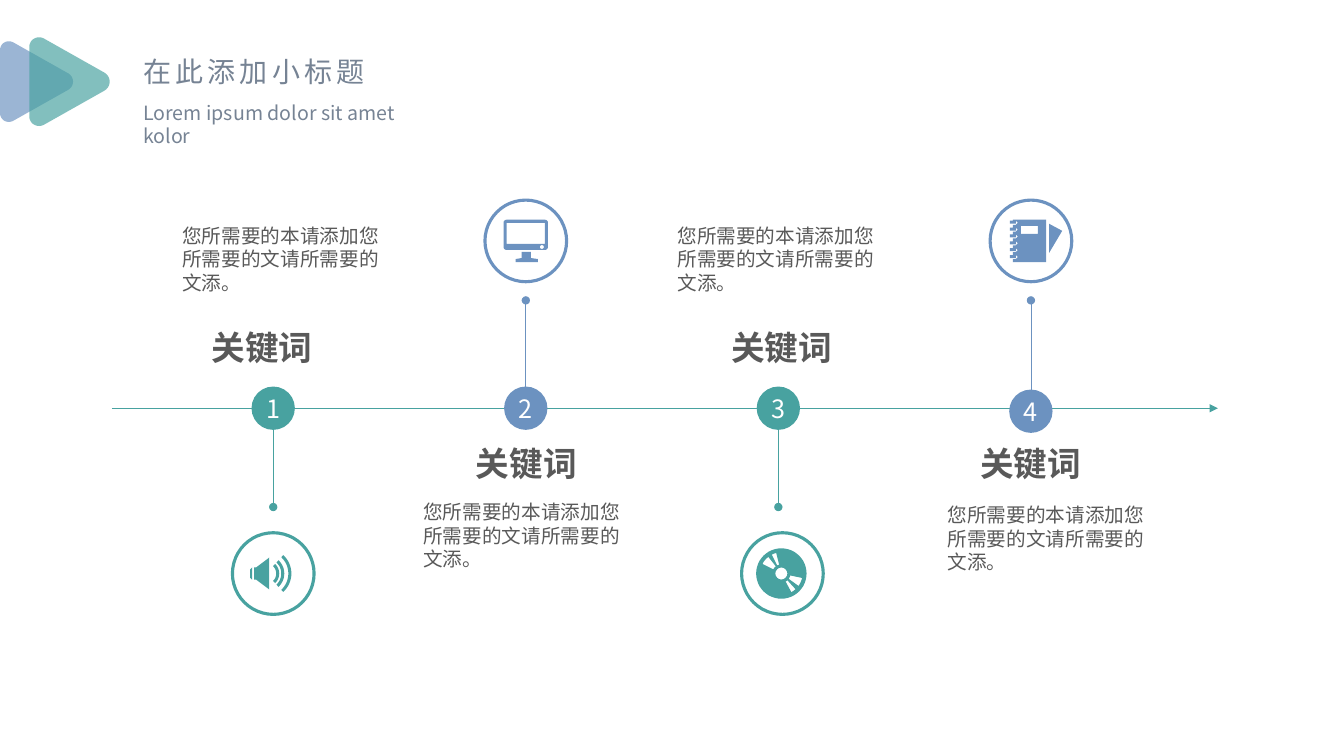
import math

import pptx
import pptx.dml.color
import pptx.enum.shapes
import pptx.enum.text
import pptx.oxml.ns
import pptx.util
from lxml import etree

FONT = "Noto Sans CJK SC"
TEAL, BLUE, SLATE, GREY, WHITE = "48A2A0", "6C92C0", "768394", "595959", "FFFFFF"
FIRST_COLUMN, COLUMN_PITCH, AXIS = 2.71, 2.505, 4.05
BADGE, RING = 0.43, 0.81
BLURB = "您所需要的本请添加您所需要的文请所需要的文添。"
OVAL = pptx.enum.shapes.MSO_SHAPE.OVAL
LEFT, CENTER = pptx.enum.text.PP_ALIGN.LEFT, pptx.enum.text.PP_ALIGN.CENTER
TOP, MIDDLE = pptx.enum.text.MSO_ANCHOR.TOP, pptx.enum.text.MSO_ANCHOR.MIDDLE


def inches(*lengths):
    """Convert lengths in inches to slide units."""
    return [pptx.util.Inches(length) for length in lengths]


def paint(color_format, color):
    """Make a fill solid in a hex colour and return the colour element."""
    color_format.solid()
    color_format.fore_color.rgb = pptx.dml.color.RGBColor.from_string(color)
    return color_format


def write(holder, text, size, color, align=LEFT, anchor=TOP, bold=False, wrap=True,
          line_spacing=1.0, tracking=0):
    """Put one formatted run into a shape or placeholder."""
    frame = holder.text_frame
    frame.word_wrap = wrap
    frame.auto_size = pptx.enum.text.MSO_AUTO_SIZE.NONE
    frame.vertical_anchor = anchor
    paragraph = frame.paragraphs[0]
    paragraph.alignment = align
    paragraph.line_spacing = line_spacing
    paragraph.space_before = pptx.util.Pt(0)
    run = paragraph.add_run()
    run.text = text
    run.font.size = pptx.util.Pt(size)
    run.font.bold = bold
    run.font.name = FONT
    paint(run.font.fill, color)
    properties = run.font._element
    if tracking:
        properties.set("spc", str(tracking * 100))
    etree.SubElement(properties, pptx.oxml.ns.qn("a:ea"), typeface=FONT)


def place(holder, *box):
    """Move and size a placeholder."""
    holder.left, holder.top, holder.width, holder.height = inches(*box)


def label(slide, box, text, size, **style):
    """Add a grey text box."""
    write(slide.shapes.add_textbox(*inches(*box)), text, size, GREY, **style)


def circle(slide, x, y, diameter):
    """Add a shadowless circle around a centre."""
    disc = slide.shapes.add_shape(
        OVAL, *inches(x - diameter / 2, y - diameter / 2, diameter, diameter))
    disc.shadow.inherit = False
    return disc


def badge(slide, x, y, number, color):
    """Add a numbered circle."""
    disc = circle(slide, x, y, BADGE)
    paint(disc.fill, color)
    disc.line.fill.background()
    write(disc, str(number), 18, WHITE, align=CENTER, anchor=MIDDLE, wrap=False)


def ring(slide, x, y, color):
    """Add an unfilled circle that frames an icon."""
    frame = circle(slide, x, y, RING)
    frame.fill.background()
    paint(frame.line.fill, color)
    frame.line.width = pptx.util.Pt(2.25)


def stroke(slide, start, end, color, **ends):
    """Add a thin line with the given headEnd and tailEnd types."""
    line = slide.shapes.add_connector(
        pptx.enum.shapes.MSO_CONNECTOR.STRAIGHT, *inches(*start, *end))
    paint(line.line.fill, color)
    line.line.width = pptx.util.Pt(0.5)
    outline = line.line._get_or_add_ln()
    for tag, kind in ends.items():
        etree.SubElement(outline, pptx.oxml.ns.qn("a:" + tag), type=kind)
    etree.SubElement(line._element.spPr, pptx.oxml.ns.qn("a:effectLst"))


def silhouette(slide, x, y, contours, color, opacity=100):
    """Add one filled outline whose contours are given relative to a point."""
    scaled = [[(round((x + dx) * 1000), round((y + dy) * 1000)) for dx, dy in contour]
              for contour in contours]
    builder = slide.shapes.build_freeform(*scaled[0][0], scale=914.4)
    builder.add_line_segments(scaled[0][1:])
    for contour in scaled[1:]:
        builder.move_to(*contour[0])
        builder.add_line_segments(contour[1:])
    shape = builder.convert_to_shape()
    shape.shadow.inherit = False
    shape.line.fill.background()
    paint(shape.fill, color)
    if opacity < 100:
        tint = shape._element.spPr.find(".//" + pptx.oxml.ns.qn("a:srgbClr"))
        etree.SubElement(tint, pptx.oxml.ns.qn("a:alpha"), val=str(opacity * 1000))


def arc(x, y, radius, start, end, steps=16):
    """List points on an arc, in degrees clockwise from the right."""
    angles = [math.radians(start + (end - start) * i / steps) for i in range(steps + 1)]
    return [(x + radius * math.cos(a), y + radius * math.sin(a)) for a in angles]


def sector(x, y, inner, outer, start, end):
    """Outline a slice of a ring."""
    return arc(x, y, outer, start, end) + arc(x, y, inner, end, start)


def bezier(*controls, steps=10):
    """List points on a cubic curve."""
    weights = [[(1 - t) ** 3, 3 * t * (1 - t) ** 2, 3 * t * t * (1 - t), t ** 3]
               for t in (i / steps for i in range(steps + 1))]
    return [tuple(sum(w * c[axis] for w, c in zip(row, controls)) for axis in (0, 1))
            for row in weights]


def box(left, top, right, bottom):
    """Outline a rectangle."""
    return [(left, top), (right, top), (right, bottom), (left, bottom)]


def play_mark(slide, left, middle, scale, color):
    """Add a translucent triangle with rounded corners."""
    upper = bezier((0.13, -0.39), (0.07, -0.42), (0, -0.38), (0, -0.31))
    lower = [(x, -y) for x, y in reversed(upper)]
    tip = bezier((0.68, 0.08), (0.74, 0.04), (0.74, -0.04), (0.68, -0.08))
    points = [(x * scale, y * scale) for x, y in upper + lower + tip]
    silhouette(slide, left, middle, [points], color, opacity=68)


def speaker():
    """Outline a loudspeaker with three sound waves."""
    cone = [(-0.05, -0.15), (-0.17, -0.06), (-0.19, -0.06), (-0.19, 0.06), (-0.17, 0.06),
            (-0.05, 0.15), (-0.04, 0.16), (-0.04, -0.16)]
    back = [(-0.23, -0.04), (-0.21, -0.06), (-0.21, 0.06), (-0.23, 0.04)]
    waves = [sector(-0.07, 0, r, r + 0.03, -47, 47) for r in (0.1, 0.15, 0.22)]
    return [[part] for part in (cone, back, *waves)]


def monitor():
    """Outline a computer screen on a stand."""
    corners = [(0.19, 0.06), (-0.19, 0.06), (-0.19, -0.18), (0.19, -0.18)]
    case = [point for turn, (x, y) in enumerate(corners)
            for point in arc(x, y, 0.03, turn * 90, turn * 90 + 90, 6)]
    stand = [(-0.1, 0.21), (-0.1, 0.18), (-0.04, 0.17), (-0.04, 0.11),
             (0.05, 0.11), (0.05, 0.17), (0.12, 0.18), (0.12, 0.21)]
    return [[case, box(-0.19, -0.18, 0.19, 0.03), arc(0.16, 0.06, 0.02, 0, 360), stand]]


def compact_disc():
    """Outline a disc with a hub and four glints."""
    glints = [sector(-0.01, 0, 0.09, 0.21, *span)
              for span in ((12, 36), (48, 62), (207, 232), (243, 256))]
    return [[arc(-0.01, 0, 0.25, 0, 360, 48), arc(-0.01, 0, 0.06, 0, 360), *glints]]


def notebook():
    """Outline a spiral notebook with a label and a set square."""
    loop = [(-0.18, 0), (-0.21, 0), (-0.21, 0.03), (-0.15, 0.03), (-0.15, 0),
            (-0.13, 0.02), (-0.15, 0.04), (-0.18, 0.04)]
    spiral = [(x, y - 0.2 + 0.068 * turn) for turn in range(6) for x, y in loop]
    cover = [(-0.18, -0.21), *spiral, (-0.18, 0.21), (0.15, 0.21), (0.15, -0.21)]
    return [[[(0.18, -0.17), (0.18, 0.12), (0.31, -0.1)], cover,
             box(-0.1, -0.15, 0.07, -0.07)]]


def main():
    """Build the timeline slide."""
    deck = pptx.Presentation()
    deck.slide_width, deck.slide_height = inches(13.33, 7.5)
    slide = deck.slides.add_slide(deck.slide_layouts[2])
    heading, subheading = slide.placeholders
    place(heading, 1.32, 0.49, 2.46, 0.44)
    write(heading, "在此添加小标题", 20, SLATE, wrap=False, tracking=3)
    place(subheading, 1.32, 0.95, 3.19, 0.34)
    write(subheading, "Lorem ipsum dolor sit amet kolor", 14, SLATE)
    play_mark(slide, 0, 0.81, 1, BLUE)
    play_mark(slide, 0.29, 0.81, 1.1, TEAL)

    stroke(slide, (1.11, AXIS), (12.08, AXIS), TEAL, tailEnd="triangle")
    steps = [(speaker, 0, 0, 2.6, 1.71, 2.17), (monitor, 0, 0, 5.22, 4.1, 4.91),
             (compact_disc, 0.04, 0, 7.75, 6.62, 2.17), (notebook, 0, 0.03, 10.22, 9.3, 4.94)]
    for index, (icon, shift, drop, keyword, blurb_left, blurb_top) in enumerate(steps):
        x = FIRST_COLUMN + index * COLUMN_PITCH
        icon_below = index % 2 == 0
        color = TEAL if icon_below else BLUE
        stem = (AXIS, 5.03) if icon_below else (2.98, 3.96)
        icon_y = 5.69 if icon_below else 2.39
        stroke(slide, (x, stem[0]), (x, stem[1]), color, headEnd="oval", tailEnd="oval")
        badge(slide, x, AXIS + drop, index + 1, color)
        ring(slide, x + shift, icon_y, color)
        for contours in icon():
            silhouette(slide, x + shift, icon_y, contours, color)
        label(slide, (blurb_left, blurb_top, 2.25, 0.81), BLURB, 14)
        label(slide, (keyword - 0.725, 3.23 if icon_below else 4.38, 1.45, 0.48), "关键词", 24,
              align=CENTER, bold=True, line_spacing=0.94)
    deck.save("out.pptx")


if __name__ == "__main__":
    main()
